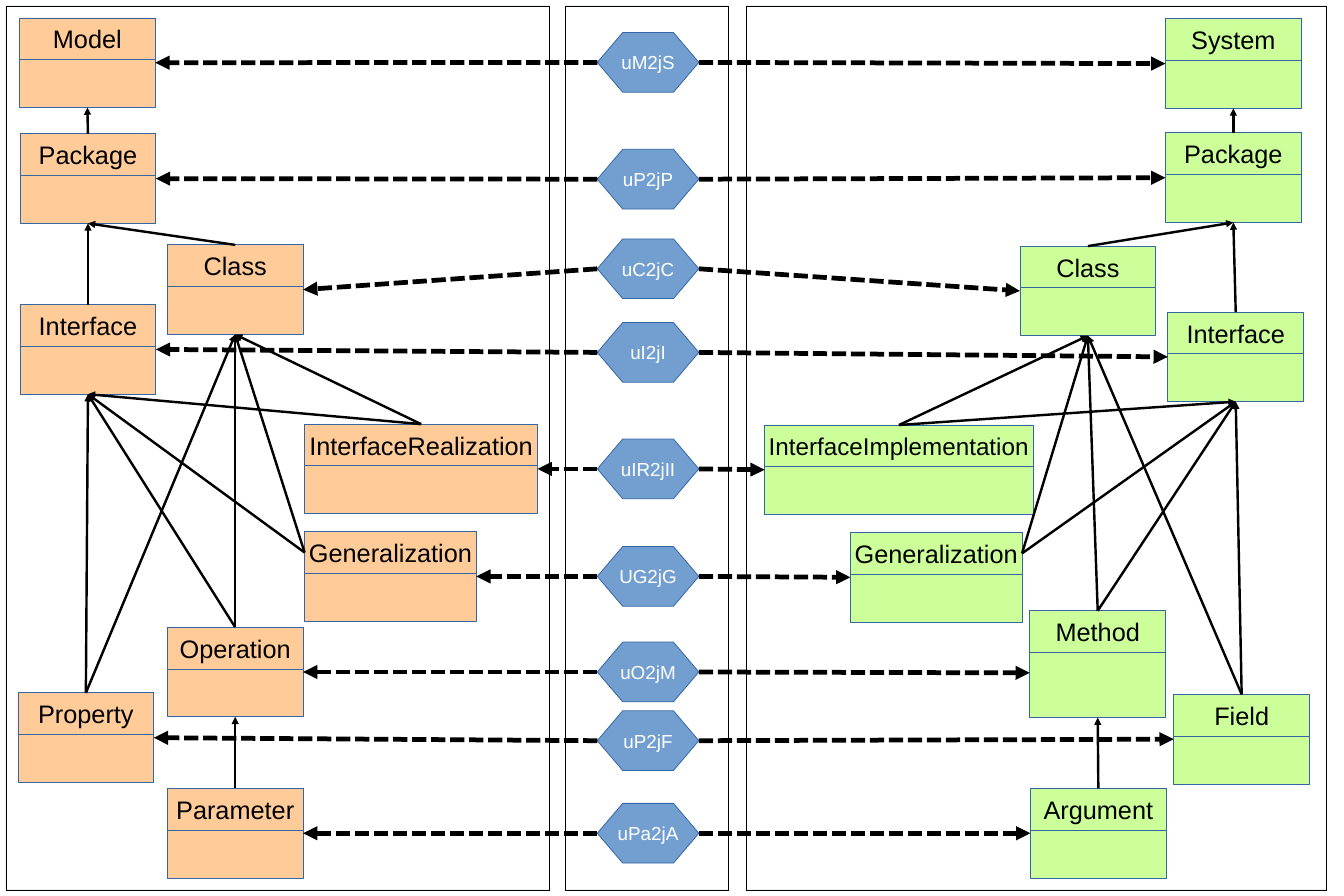
import pptx
import pptx.dml.color
import pptx.enum.dml
import pptx.enum.shapes
import pptx.enum.text
import pptx.oxml
import pptx.oxml.ns
import pptx.util

Cm = pptx.util.Cm
Pt = pptx.util.Pt
SHAPES = pptx.enum.shapes.MSO_SHAPE
TOP, LEFT, BOTTOM, RIGHT = range(4)

ORANGE, GREEN, BLUE = "FFCC99", "CCFF99", "729FCF"
OUTLINE, BLACK, WHITE = "3465A4", "000000", "FFFFFF"

BOX_WIDTH, BODY_HEIGHT, HEAD_HEIGHT = 4.55, 3.0, 1.4
HEXAGON_LEFT, HEXAGON_WIDTH, HEXAGON_HEIGHT = 20.0, 3.4, 2.0

FRAMES = [(0.2, 18.2), (18.92, 5.46), (25.0, 19.4)]

UML_CLASSES = [
    ("Model", 0.65, 0.6, BOX_WIDTH),
    ("Package", 0.67, 4.48, BOX_WIDTH),
    ("Class", 5.6, 8.2, BOX_WIDTH),
    ("Interface", 0.67, 10.2, BOX_WIDTH),
    ("InterfaceRealization", 10.2, 14.2, 7.8),
    ("Generalization", 10.2, 17.8, 5.75),
    ("Operation", 5.6, 21.0, BOX_WIDTH),
    ("Property", 0.6, 23.2, BOX_WIDTH),
    ("Parameter", 5.6, 26.4, BOX_WIDTH),
]
JAVA_CLASSES = [
    ("System", 39.02, 0.63, BOX_WIDTH),
    ("Package", 39.02, 4.45, BOX_WIDTH),
    ("Class", 34.15, 8.24, BOX_WIDTH),
    ("Interface", 39.1, 10.45, BOX_WIDTH),
    ("InterfaceImplementation", 25.6, 14.23, 9.0),
    ("Generalization", 28.47, 17.83, 5.75),
    ("Method", 34.48, 20.45, BOX_WIDTH),
    ("Field", 39.3, 23.25, BOX_WIDTH),
    ("Argument", 34.5, 26.4, BOX_WIDTH),
]
RULES = [
    ("uM2jS", 1.09), ("uP2jP", 5.0), ("uC2jC", 8.0), ("uI2jI", 10.8),
    ("uIR2jII", 14.7), ("UG2jG", 18.3), ("uO2jM", 21.5), ("uP2jF", 23.8),
    ("uPa2jA", 26.9),
]
PARENTS = {1: [0], 2: [1], 3: [1], 4: [2, 3], 5: [2, 3], 6: [2, 3], 7: [2, 3], 8: [6]}
GENERALIZATION = 5
BODY_DROP = {"Method": 0.58}
NAME_SIZE = {"InterfaceImplementation": 23}


def colour(value):
    return pptx.dml.color.RGBColor.from_string(value)


class Diagram:
    font = "Arial"

    def __init__(self, page):
        self.page = page

    def shape(self, kind, left, top, width, height, fill, line=OUTLINE):
        shape = self.page.shapes.add_shape(kind, Cm(left), Cm(top), Cm(width), Cm(height))
        shape.shadow.inherit = False
        shape.fill.solid()
        shape.fill.fore_color.rgb = colour(fill)
        shape.line.color.rgb = colour(line)
        shape.line.width = Pt(0)
        return shape

    def label(self, shape, text, size, ink):
        frame = shape.text_frame
        frame.text = text
        frame.word_wrap = False
        frame.vertical_anchor = pptx.enum.text.MSO_ANCHOR.MIDDLE
        para = frame.paragraphs[0]
        para.alignment = pptx.enum.text.PP_ALIGN.CENTER
        span = para.runs[0]
        span.font.name = self.font
        span.font.size = Pt(size)
        span.font.color.rgb = colour(ink)

    def frame(self, left, width):
        shape = self.shape(SHAPES.FRAME, left, 0.2, width, 29.6, BLUE, BLACK)
        shape.adjustments[0] = 0

    def class_box(self, name, left, top, width, fill):
        body_top = top + BODY_DROP.get(name, 0)
        body = self.shape(SHAPES.RECTANGLE, left, body_top, width, BODY_HEIGHT, fill)
        head = self.shape(SHAPES.RECTANGLE, left, top, width, HEAD_HEIGHT, fill)
        self.label(head, name, NAME_SIZE.get(name, 24), BLACK)
        return head, body

    def hexagon(self, text, top):
        shape = self.shape(SHAPES.HEXAGON, HEXAGON_LEFT, top, HEXAGON_WIDTH, HEXAGON_HEIGHT, BLUE)
        shape.adjustments[0] = 0.425
        self.label(shape, text, 17.9, WHITE)

    def arrow(self, left, top, target, side, width):
        line = self.page.shapes.add_connector(
            pptx.enum.shapes.MSO_CONNECTOR.STRAIGHT, Cm(left), Cm(top), Cm(left), Cm(top))
        line.end_connect(target, side)
        line.line.color.rgb = colour(BLACK)
        line.line.width = Pt(width)
        properties = line._element.spPr
        properties.append(pptx.oxml.parse_xml(
            f'<a:effectLst {pptx.oxml.ns.nsdecls("a")}/>'))
        properties.find(pptx.oxml.ns.qn("a:ln")).append(pptx.oxml.parse_xml(
            f'<a:tailEnd {pptx.oxml.ns.nsdecls("a")} type="triangle"/>'))
        return line

    def parent_arrow(self, child, child_side, parent):
        line = self.arrow(0, 0, parent, BOTTOM, 2.3)
        line.begin_connect(child, child_side)

    def rule_arrow(self, left, top, target, side):
        line = self.arrow(left, top, target, side, 4.5)
        line.line.dash_style = pptx.enum.dml.MSO_LINE.SQUARE_DOT
        line.line._ln.find(pptx.oxml.ns.qn("a:prstDash")).set("val", "sysDash")


def main():
    deck = pptx.Presentation()
    deck.slide_width, deck.slide_height = Cm(45), Cm(30)
    diagram = Diagram(deck.slides.add_slide(deck.slide_layouts[6]))

    for left, width in FRAMES:
        diagram.frame(left, width)
    for text, top in RULES:
        diagram.hexagon(text, top)

    sides = [
        (UML_CLASSES, ORANGE, HEXAGON_LEFT, RIGHT, LEFT),
        (JAVA_CLASSES, GREEN, HEXAGON_LEFT + HEXAGON_WIDTH, LEFT, RIGHT),
    ]
    for classes, fill, start, inner_side, outer_side in sides:
        boxes = [diagram.class_box(*entry, fill) for entry in classes]
        for (head, body), (text, top) in zip(boxes, RULES):
            diagram.rule_arrow(start, top + HEXAGON_HEIGHT / 2, body, inner_side)
        for child, parents in PARENTS.items():
            child_side = outer_side if child == GENERALIZATION else TOP
            for parent in parents:
                diagram.parent_arrow(boxes[child][0], child_side, boxes[parent][1])

    deck.save("out.pptx")


if __name__ == "__main__":
    main()
